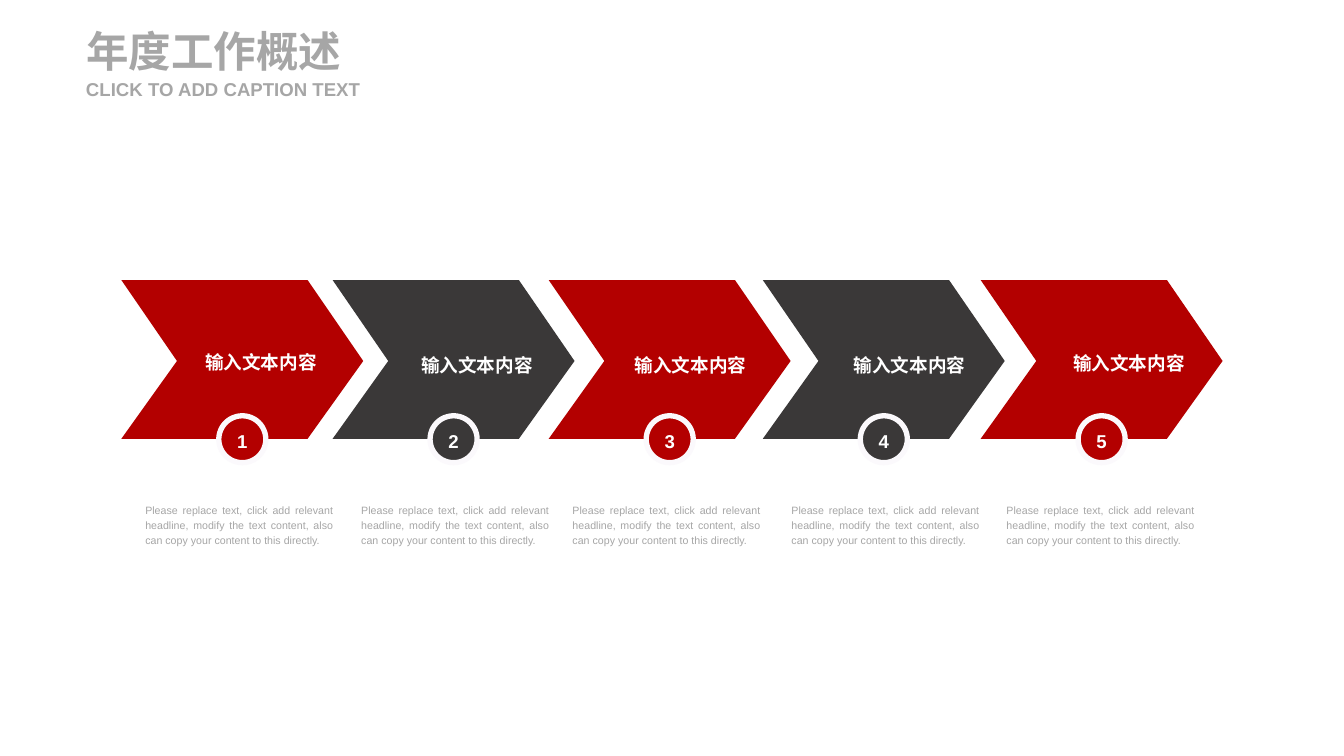
from pptx import Presentation
from pptx.dml.color import RGBColor
from pptx.enum.shapes import MSO_SHAPE
from pptx.enum.text import MSO_ANCHOR, MSO_AUTO_SIZE, PP_ALIGN
from pptx.util import Inches, Pt

COLORS = {"red": "B30000", "dark": "3A3838", "gray": "A6A6A6",
          "white": "FFFFFF", "ring": "FBF9FC"}
STEP_TITLE = "输入文本内容"
STEP_TEXT = ("Please replace text, click add relevant headline, modify the text "
             "content, also can copy your content to this directly.")

# Places and sizes are percentages of the slide's width and height.
ARROW_TOP, ARROW_WIDTH, ARROW_HEIGHT = 37.04, 18, 21
BADGE_TOP, BADGE_WIDTH, BADGE_HEIGHT = 55, 3.5, 6.2
HEADING_WIDTH, HEADING_HEIGHT = 12, 3.2
DETAIL_TOP, DETAIL_WIDTH, DETAIL_HEIGHT = 66.25, 14, 5.94
# Arrow outline as shares of its own width and height.
ARROW_OUTLINE = [(0, 0), (0.23, 0.51), (0, 1), (0.77, 1), (1, 0.51), (0.77, 0)]

# Arrow left, heading centre, heading middle, detail left
STEPS = [
    (9.03, 19.42, 47.66, 10.81),
    (24.75, 35.49, 47.98, 26.88),
    (40.83, 51.39, 47.98, 42.6),
    (56.76, 67.67, 47.98, 58.89),
    (72.97, 84, 47.72, 74.89),
]


class ProcessSlide:
    font = "Arial"

    def __init__(self, presentation):
        self.width = presentation.slide_width
        self.height = presentation.slide_height
        self.slide = presentation.slides.add_slide(presentation.slide_layouts[5])
        self.shapes = self.slide.shapes

    def x(self, percent):
        return round(self.width * percent / 100)

    def y(self, percent):
        return round(self.height * percent / 100)

    def box(self, left, top, width, height):
        return self.x(left), self.y(top), self.x(width), self.y(height)

    def color(self, target, name):
        target.rgb = RGBColor.from_string(COLORS[name])

    def fill(self, shape, name):
        shape.shadow.inherit = False
        shape.fill.solid()
        self.color(shape.fill.fore_color, name)

    def set_text(self, shape, text, size, color, align=PP_ALIGN.LEFT, bold=True,
                 anchor=MSO_ANCHOR.MIDDLE, spacing=1.2):
        frame = shape.text_frame
        frame.word_wrap = True
        frame.auto_size = MSO_AUTO_SIZE.NONE
        frame.vertical_anchor = anchor
        frame.margin_left = frame.margin_right = 0
        frame.margin_top = frame.margin_bottom = 0
        paragraph = frame.paragraphs[0]
        paragraph.alignment = align
        paragraph.line_spacing = spacing
        run = paragraph.add_run()
        run.text = text
        run.font.name = self.font
        run.font.size = Pt(size)
        run.font.bold = bold
        self.color(run.font.color, color)

    def title(self, text, *place):
        heading = self.shapes.title
        heading.left, heading.top, heading.width, heading.height = self.box(*place)
        self.set_text(heading, text, 32, "gray", spacing=1.0)

    def text(self, text, place, size, color, **style):
        self.set_text(self.shapes.add_textbox(*self.box(*place)), text, size, color, **style)

    def arrow(self, left, color):
        points = [(self.x(left + ARROW_WIDTH * across),
                   self.y(ARROW_TOP + ARROW_HEIGHT * down))
                  for across, down in ARROW_OUTLINE]
        outline = self.shapes.build_freeform(*points[0])
        outline.add_line_segments(points[1:], close=True)
        arrow = outline.convert_to_shape()
        self.fill(arrow, color)
        arrow.line.fill.background()

    def badge(self, center, number, color):
        badge = self.shapes.add_shape(
            MSO_SHAPE.OVAL,
            *self.box(center - BADGE_WIDTH / 2, BADGE_TOP, BADGE_WIDTH, BADGE_HEIGHT))
        self.fill(badge, color)
        self.color(badge.line.color, "ring")
        badge.line.width = Pt(4)
        self.set_text(badge, str(number), 14, "white", align=PP_ALIGN.CENTER)


def main():
    presentation = Presentation()
    presentation.slide_width = Inches(14.06)
    presentation.slide_height = Inches(7.91)
    overview = ProcessSlide(presentation)

    overview.title("年度工作概述", 6.4, 3.29, 21.83, 6.83)
    overview.text("CLICK TO ADD CAPTION TEXT", (6.4, 10.24, 21.83, 3.03), 14, "gray",
                  spacing=1.0)
    for number, (arrow_left, center, middle, detail_left) in enumerate(STEPS, start=1):
        color = "red" if number % 2 else "dark"
        overview.arrow(arrow_left, color)
        overview.text(STEP_TITLE,
                      (center - HEADING_WIDTH / 2, middle - HEADING_HEIGHT / 2,
                       HEADING_WIDTH, HEADING_HEIGHT),
                      14, "white", align=PP_ALIGN.CENTER)
        overview.badge(arrow_left + ARROW_WIDTH / 2, number, color)
        overview.text(STEP_TEXT,
                      (detail_left, DETAIL_TOP, DETAIL_WIDTH, DETAIL_HEIGHT),
                      8, "gray", align=PP_ALIGN.JUSTIFY, bold=False,
                      anchor=MSO_ANCHOR.TOP)

    presentation.save("out.pptx")


if __name__ == "__main__":
    main()
